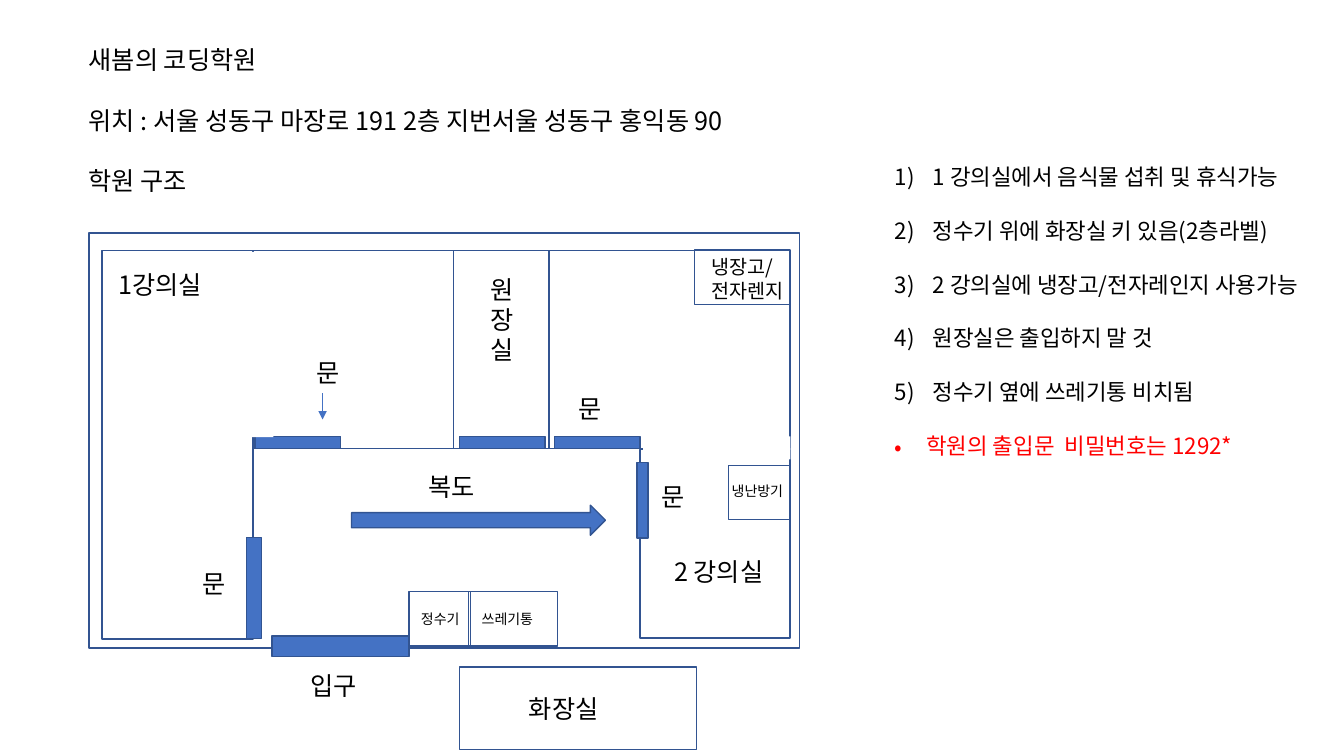
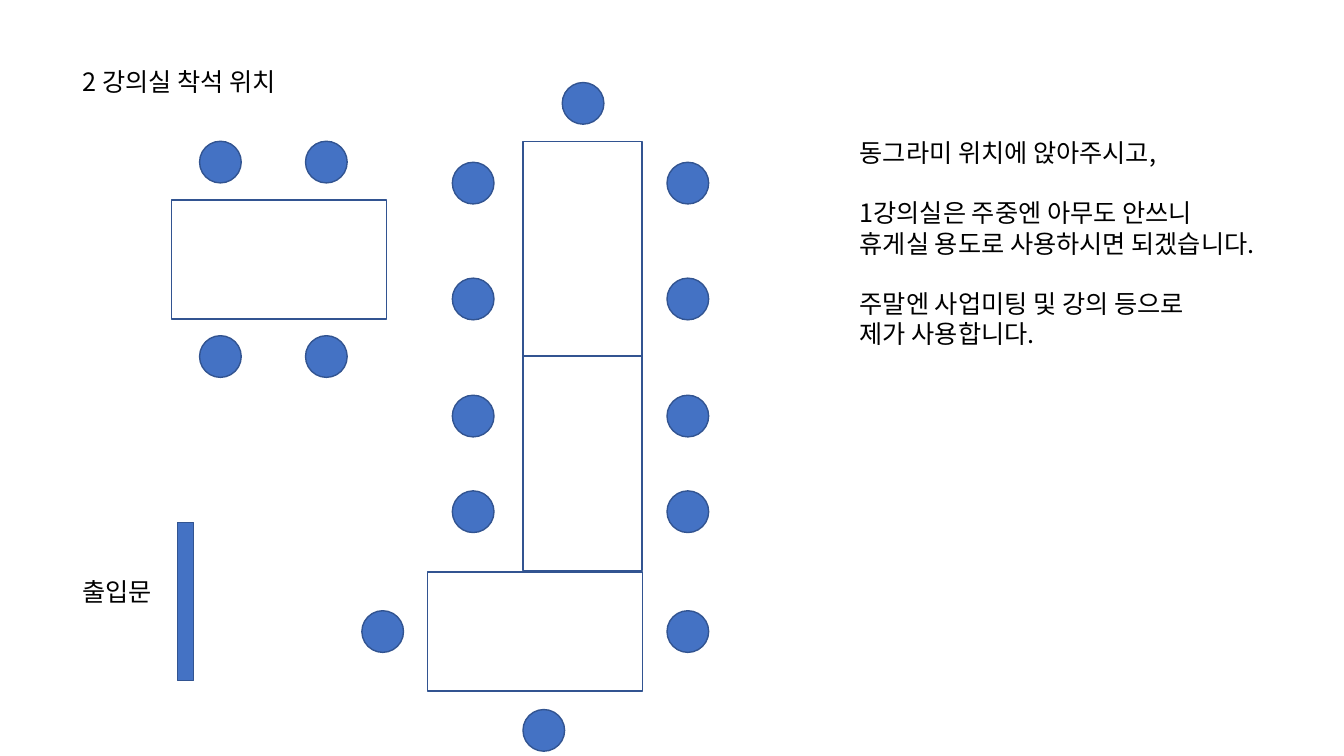
from itertools import product

from lxml import etree
from pptx import Presentation
from pptx import util as u
from pptx.dml.color import RGBColor
from pptx.enum import shapes, text
from pptx.oxml.ns import qn

FONT = "Noto Sans CJK KR"
INK, RED, WHITE = "000000", "FF0000", "FFFFFF"
BLUE, EDGE = "4472C4", "325491"
KIND = shapes.MSO_SHAPE
ROW = 1.02  # height of a one-line label
SEAT = 1.05


def rgb(code):
    """Turn a hex string into a colour."""
    return RGBColor.from_string(code)


def cm(*vals):
    """Turn numbers into centimetre lengths."""
    return [u.Cm(v) for v in vals]


def node(top, tag, **attrs):
    """Append an XML element and return it."""
    item = etree.SubElement(top, qn(tag))
    for key, val in attrs.items():
        item.set(key, val)
    return item


def style(para, size, color=INK):
    """Format the runs of a paragraph, set left."""
    para.alignment = text.PP_ALIGN.LEFT
    para.space_before = u.Pt(0)
    for run in para.runs:
        run.font.size = u.Pt(size)
        run.font.name = FONT
        run.font.color.rgb = rgb(color)
        node(run.font._element, "a:ea", typeface=FONT)


def write(item, words, box, size=18):
    """Place a text holder and fill it, one paragraph a line."""
    item.left, item.top, item.width, item.height = cm(*box)
    frame = item.text_frame
    frame.text = words
    frame.word_wrap = False
    frame.auto_size = text.MSO_AUTO_SIZE.NONE
    frame.vertical_anchor = text.MSO_ANCHOR.TOP
    for para in frame.paragraphs:
        style(para, size)
    return frame.paragraphs


def label(slide, words, left, top, width, height=ROW, size=18):
    """Add a free text label."""
    box = (left, top, width, height)
    write(slide.shapes.add_textbox(*cm(*box)), words, box, size)


def shape(slide, box, fill=None, line=EDGE, kind=KIND.RECTANGLE):
    """Add a flat shape; without a fill it is an outline."""
    item = slide.shapes.add_shape(kind, *cm(*box))
    item.shadow.inherit = False
    if fill:
        item.fill.solid()
        item.fill.fore_color.rgb = rgb(fill)
    else:
        item.fill.background()
    if line:
        item.line.color.rgb = rgb(line)
        item.line.width = u.Pt(1)
    else:
        item.line.fill.background()


def arrow(slide, *ends):
    """Add a thin line with an arrowhead at its end."""
    item = slide.shapes.add_connector(shapes.MSO_CONNECTOR.STRAIGHT, *cm(*ends))
    item.line.color.rgb = rgb(BLUE)
    item.line.width = u.Pt(0.5)
    node(item.line._get_or_add_ln(), "a:tailEnd", type="triangle")
    node(item._element.spPr, "a:effectLst")


def mark(para, indent, tag, **attrs):
    """Give a paragraph a hanging bullet of the given kind."""
    props = para._p.get_or_add_pPr()
    props.set("marL", str(u.Cm(indent)))
    props.set("indent", str(-u.Cm(indent)))
    node(props, "a:buFont", typeface=FONT)
    node(props, tag, **attrs)


def gap(para, size):
    """Leave one line free above a paragraph."""
    para.space_before = u.Pt(1.2 * size)


def rules(slide):
    """Fill the body with the house rules."""
    lines = [
        "1 강의실에서 음식물 섭취 및 휴식가능",
        "정수기 위에 화장실 키 있음(2층라벨)",
        "2 강의실에 냉장고/전자레인지 사용가능",
        "원장실은 출입하지 말 것",
        "정수기 옆에 쓰레기통 비치됨",
        "학원의 출입문  비밀번호는 1292*",
    ]
    paras = write(slide.placeholders[1], "\n".join(lines),
                  (22.3, 3.99, 11.73, 9.83), 16)
    for para in paras[1:]:
        gap(para, 16)
    for para in paras[:-1]:
        mark(para, 0.95, "a:buAutoNum", type="arabicParenR")
    mark(paras[-1], 0.79, "a:buChar", char="•")
    paras[-1].runs[0].font.color.rgb = rgb(RED)


def plan(slide):
    """Draw the floor plan of the school."""
    head = "새봄의 코딩학원\n위치 : 서울 성동구 마장로 191 2층 지번서울 성동구 홍익동 90\n학원 구조"
    for para in write(slide.shapes.title, head, (1.98, 0.99, 18.49, 4.11))[1:]:
        gap(para, 18)
    rules(slide)

    walls = [
        (2.24, 5.87, 17.91, 10.46),
        (2.57, 6.32, 3.81, 9.78),
        (6.38, 6.32, 5.05, 4.98),
        (11.43, 6.32, 2.41, 4.98),
        (13.84, 6.32, 6.07, 4.98),
        (16.13, 11.33, 3.78, 4.75),
    ]
    doors = [(left, 11, 2.16, 0.3) for left in (6.43, 11.58, 13.97)] + [
        (6.21, 13.55, 0.38, 2.54),
        (16.05, 11.66, 0.28, 1.9),
        (6.86, 16.03, 3.45, 0.51),
    ]
    opens = [(5.82, 6.35, 1.07, 4.67), (16.21, 11, 3.71, 0.58)]
    units = [
        (17.5, 6.3, 2.41, 1.37),
        (11.58, 16.81, 5.97, 2.08),
        (18.36, 11.73, 1.55, 1.37),
        (10.31, 14.91, 1.55, 1.37),
        (11.81, 14.91, 2.24, 1.37),
    ]
    for box in walls:
        shape(slide, box)
    for box in doors:
        shape(slide, box, BLUE)
    for box in opens:
        shape(slide, box, WHITE, None)
    for box in units:
        shape(slide, box)
    arrow(slide, 8.13, 9.91, 8.13, 10.57)
    shape(slide, (8.86, 12.73, 6.4, 0.76), BLUE, kind=KIND.RIGHT_ARROW)

    for left, top in ((7.72, 8.89), (4.85, 14.2), (16.41, 12.01), (14.33, 9.78)):
        label(slide, "문", left, top, 1.14)
    label(slide, "입구", 7.57, 16.76, 1.8)
    label(slide, "복도", 10.54, 11.76, 1.8)
    label(slide, "1강의실", 2.74, 6.65, 2.79)
    label(slide, "2 강의실", 16.74, 13.89, 3.02)
    label(slide, "화장실", 13.08, 17.35, 2.44)
    label(slide, "원\n장\n실", 12.12, 6.78, 1.14, 2.57)
    label(slide, "냉장고/\n전자렌지", 17.68, 6.3, 2.51, 1.45, 14)
    label(slide, "냉난방기", 18.19, 12.04, 1.93, 0.69, 10)
    label(slide, "정수기", 10.36, 15.27, 1.57, 0.69, 10)
    label(slide, "쓰레기통", 11.89, 15.27, 1.93, 0.69, 10)


def seats(slide):
    """Draw the seating of the second room."""
    write(slide.shapes.title, "2 강의실 착석 위치", (1.83, 1.55, 6.05, ROW))
    lines = [
        "동그라미 위치에 앉아주시고,",
        "1강의실은 주중엔 아무도 안쓰니",
        "휴게실 용도로 사용하시면 되겠습니다.",
        "주말엔 사업미팅 및 강의 등으로",
        "제가 사용합니다.",
    ]
    paras = write(slide.placeholders[1], "\n".join(lines),
                  (21.41, 3.33, 11.61, 5.64))
    for para in paras:
        mark(para, 0, "a:buNone")
    for spot in (1, 3):
        gap(paras[spot], 18)

    wide, deep = 5.41, 3
    desks = [
        (13.18, 3.56, deep, wide),
        (13.18, 3.56 + wide, deep, wide),
        (10.78, 14.41, wide, deep),
        (4.33, 5.04, wide, deep),
    ]
    for box in desks:
        shape(slide, box)
    spots = [
        *product((5.03, 7.7), (3.56, 8.46)),
        *product((11.4, 16.81), (4.09, 7.01, 9.96, 12.37)),
        *product((9.12, 16.81), (15.39,)),
        (14.17, 2.08),
        (13.18, 17.88),
    ]
    for left, top in spots:
        shape(slide, (left, top, SEAT, SEAT), BLUE, kind=KIND.OVAL)
    shape(slide, (4.47, 13.16, 0.41, 3.99), BLUE)
    label(slide, "출입문", 1.83, 14.4, 2.44)


def main():
    """Build and save both slides."""
    deck = Presentation()
    deck.slide_width, deck.slide_height = cm(33.87, 19.05)
    for draw in (plan, seats):
        draw(deck.slides.add_slide(deck.slide_layouts[1]))
    deck.save("out.pptx")


main()
